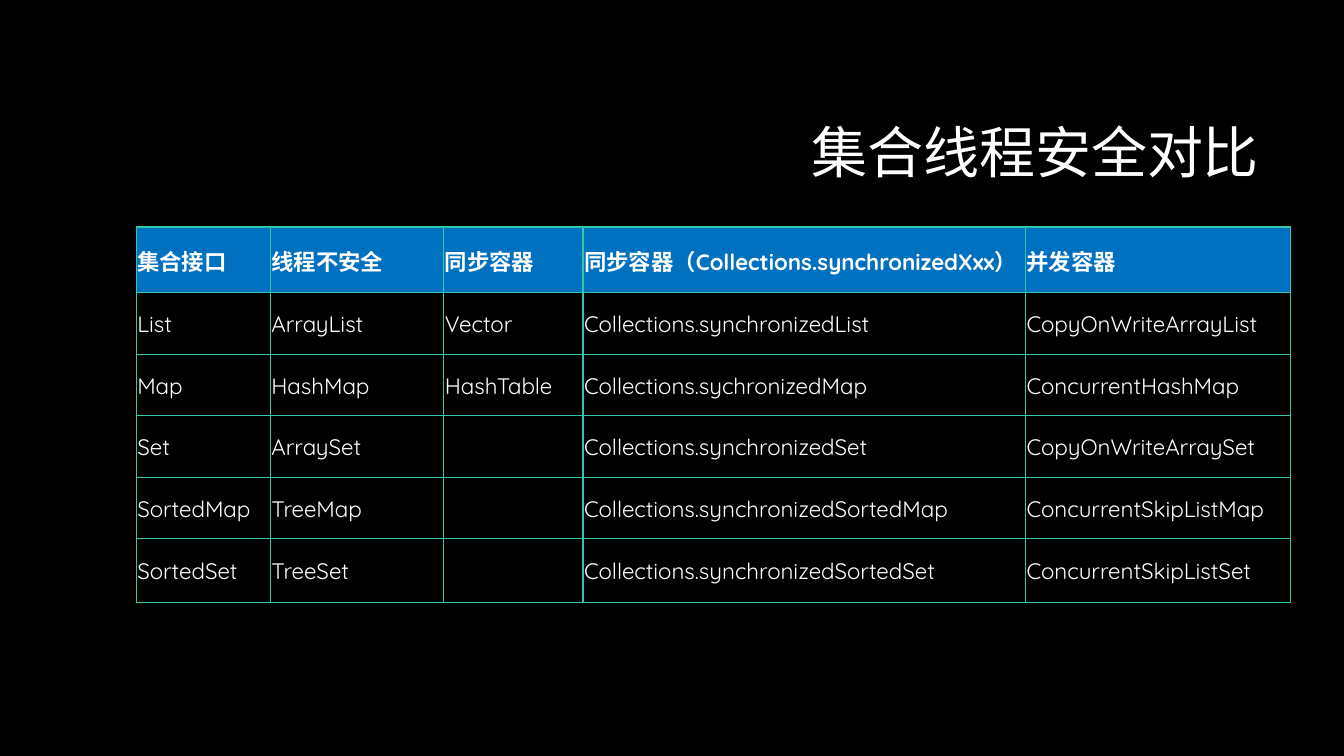
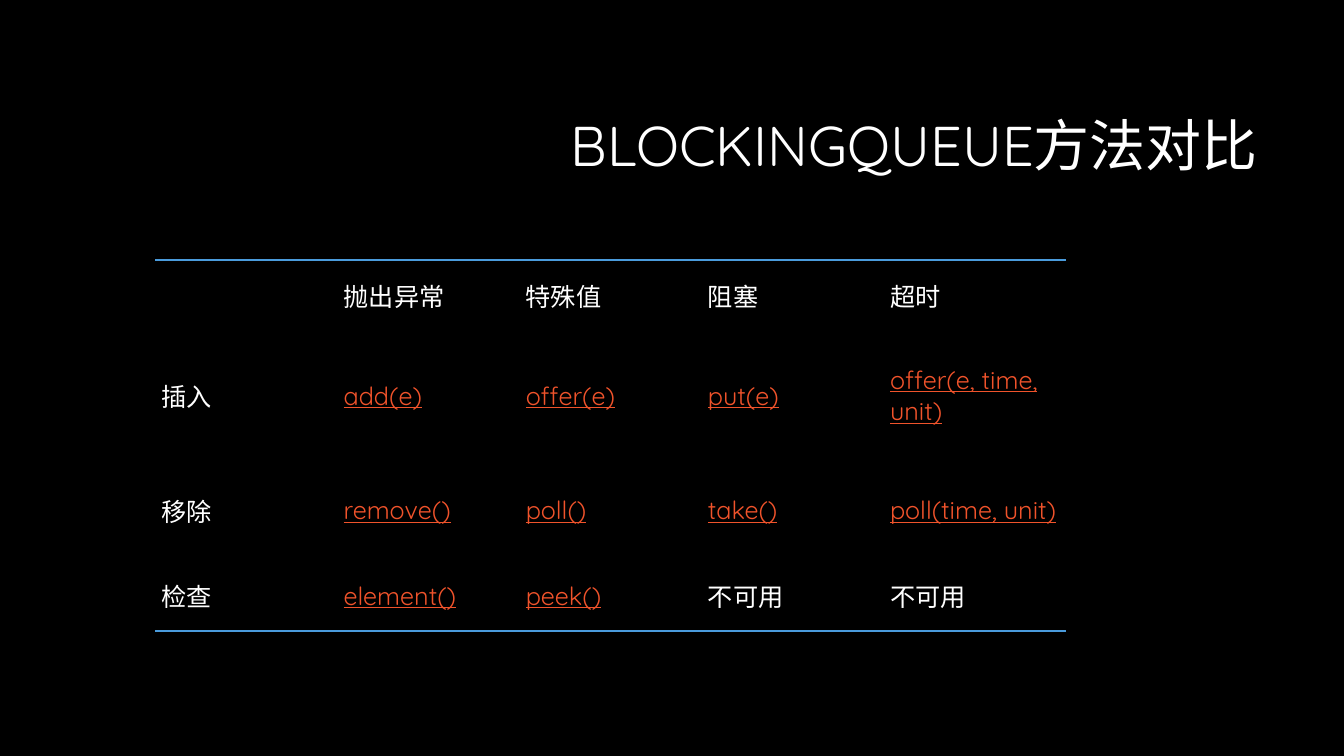
from dataclasses import dataclass

from lxml import etree
from pptx import Presentation
from pptx.dml.color import RGBColor
from pptx.enum.text import MSO_ANCHOR, MSO_AUTO_SIZE, PP_ALIGN
from pptx.oxml.ns import qn
from pptx.util import Cm, Pt

MIDDLE = MSO_ANCHOR.MIDDLE
RIGHT, LEFT = PP_ALIGN.RIGHT, PP_ALIGN.LEFT
TITLE_ONLY = 5
SIDES = ("L", "R", "T", "B")


@dataclass(frozen=True)
class Theme:
    font: str = "Quicksand"
    background: str = "000000"
    text: str = "FFFFFF"
    header: str = "0070C0"
    grid: str = "32C7A9"
    rule: str = "4A9BDC"
    method: str = "F0532B"
    title_size: int = 40
    collection_size: int = 16
    queue_size: int = 18
    line_width: int = 1


THEME = Theme()

# Lengths are centimetres; boxes are left, top, width, height.
COLLECTIONS = {
    "title": "集合线程安全对比",
    "title_box": (8.05, 2.13, 23.93, 3.58),
    "origin": (3.43, 5.72),
    "columns": (3.38, 4.37, 3.51, 11.15, 6.68),
    "rows": (1.55, 1.55, 1.55, 1.55, 1.55, 1.6),
    "insets": (0.03, 0.03, 0.03, 0),
    "size": THEME.collection_size,
    "cells": [
        ("集合接口", "线程不安全", "同步容器", "同步容器（Collections.synchronizedXxx）", "并发容器"),
        ("List", "ArrayList", "Vector", "Collections.synchronizedList", "CopyOnWriteArrayList"),
        ("Map", "HashMap", "HashTable", "Collections.sychronizedMap", "ConcurrentHashMap"),
        ("Set", "ArraySet", "", "Collections.synchronizedSet", "CopyOnWriteArraySet"),
        ("SortedMap", "TreeMap", "", "Collections.synchronizedSortedMap", "ConcurrentSkipListMap"),
        ("SortedSet", "TreeSet", "", "Collections.synchronizedSortedSet", "ConcurrentSkipListSet"),
    ],
}
QUEUE = {
    "title": "BLOCKINGQUEUE方法对比",
    "title_box": (2.74, 1.9, 29.21, 3.68),
    "origin": (3.91, 6.55),
    "columns": (4.59,) * 5,
    "rows": (1.78, 3.28, 2.51, 1.78),
    "insets": (0.16,) * 4,
    "size": THEME.queue_size,
    "cells": [
        ("", "抛出异常", "特殊值", "阻塞", "超时"),
        ("插入", "add(e)", "offer(e)", "put(e)", "offer(e, time, unit)"),
        ("移除", "remove()", "poll()", "take()", "poll(time, unit)"),
        ("检查", "element()", "peek()", "不可用", "不可用"),
    ],
}


def write(frame, text, *, size, color=THEME.text, bold=False, underline=False,
          align=LEFT, spacing=1.0):
    paragraph = frame.paragraphs[0]
    paragraph.alignment = align
    paragraph.line_spacing = spacing
    paragraph.font.size = Pt(size)
    if not text:
        return
    run = paragraph.add_run()
    run.text = text
    font = run.font
    font.name, font.size = THEME.font, Pt(size)
    font.bold, font.underline = bold, underline
    font.color.rgb = RGBColor.from_string(color)


def set_borders(cell, colors):
    """Draw the sides listed in colors and hide the others."""
    properties = cell._tc.get_or_add_tcPr()
    for position, side in enumerate(SIDES):
        line = etree.Element(qn(f"a:ln{side}"), w=str(Pt(THEME.line_width)))
        if side in colors:
            fill = etree.SubElement(line, qn("a:solidFill"))
            etree.SubElement(fill, qn("a:srgbClr"), val=colors[side])
        else:
            etree.SubElement(line, qn("a:noFill"))
        properties.insert(position, line)


def collection_style(row, text, last_row):
    header = row == 0
    return {
        "fill": THEME.header if header else None,
        "borders": dict.fromkeys(SIDES, THEME.grid),
        "text": {"bold": header},
    }


def queue_style(row, text, last_row):
    is_method = text.endswith(")")
    ruled_side = {0: "T", last_row: "B"}.get(row)
    return {
        "fill": None,
        "borders": {ruled_side: THEME.rule} if ruled_side else {},
        "text": {"color": THEME.method if is_method else THEME.text,
                 "underline": is_method},
    }


def add_title(slide, text, box):
    title = slide.shapes.title
    title.left, title.top, title.width, title.height = map(Cm, box)
    frame = title.text_frame
    frame.word_wrap = True
    frame.auto_size = MSO_AUTO_SIZE.NONE
    frame.vertical_anchor = MIDDLE
    write(frame, text, size=THEME.title_size, align=RIGHT, spacing=0.9)


def add_comparison(slide, content, style_for):
    columns, rows, cells = content["columns"], content["rows"], content["cells"]
    table = slide.shapes.add_table(
        len(rows), len(columns), *map(Cm, content["origin"]),
        Cm(sum(columns)), Cm(sum(rows))).table
    table.first_row = table.horz_banding = False
    for column, width in zip(table.columns, columns):
        column.width = Cm(width)
    for row, height in zip(table.rows, rows):
        row.height = Cm(height)

    for row, texts in enumerate(cells):
        for column, text in enumerate(texts):
            cell = table.cell(row, column)
            style = style_for(row, text, len(rows) - 1)
            (cell.margin_left, cell.margin_right,
             cell.margin_top, cell.margin_bottom) = map(Cm, content["insets"])
            cell.vertical_anchor = MIDDLE
            if style["fill"]:
                cell.fill.solid()
                cell.fill.fore_color.rgb = RGBColor.from_string(style["fill"])
            else:
                cell.fill.background()
            set_borders(cell, style["borders"])
            write(cell.text_frame, text, size=content["size"], **style["text"])


def main():
    deck = Presentation()
    deck.slide_width, deck.slide_height = Cm(33.87), Cm(19.05)
    backdrop = deck.slide_master.background.fill
    backdrop.solid()
    backdrop.fore_color.rgb = RGBColor.from_string(THEME.background)
    for content, style_for in ((COLLECTIONS, collection_style), (QUEUE, queue_style)):
        slide = deck.slides.add_slide(deck.slide_layouts[TITLE_ONLY])
        add_title(slide, content["title"], content["title_box"])
        add_comparison(slide, content, style_for)
    deck.save("out.pptx")


if __name__ == "__main__":
    main()
